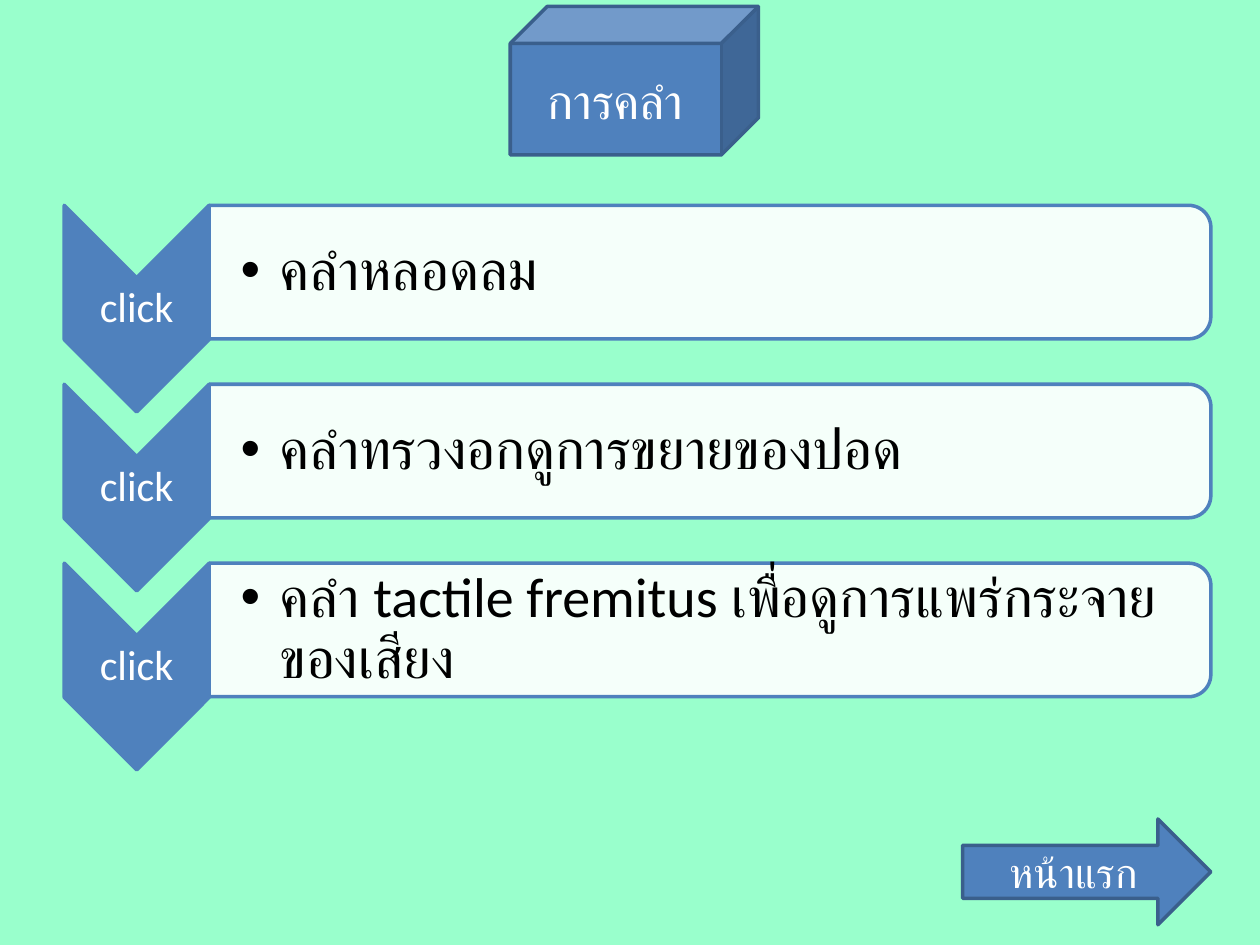
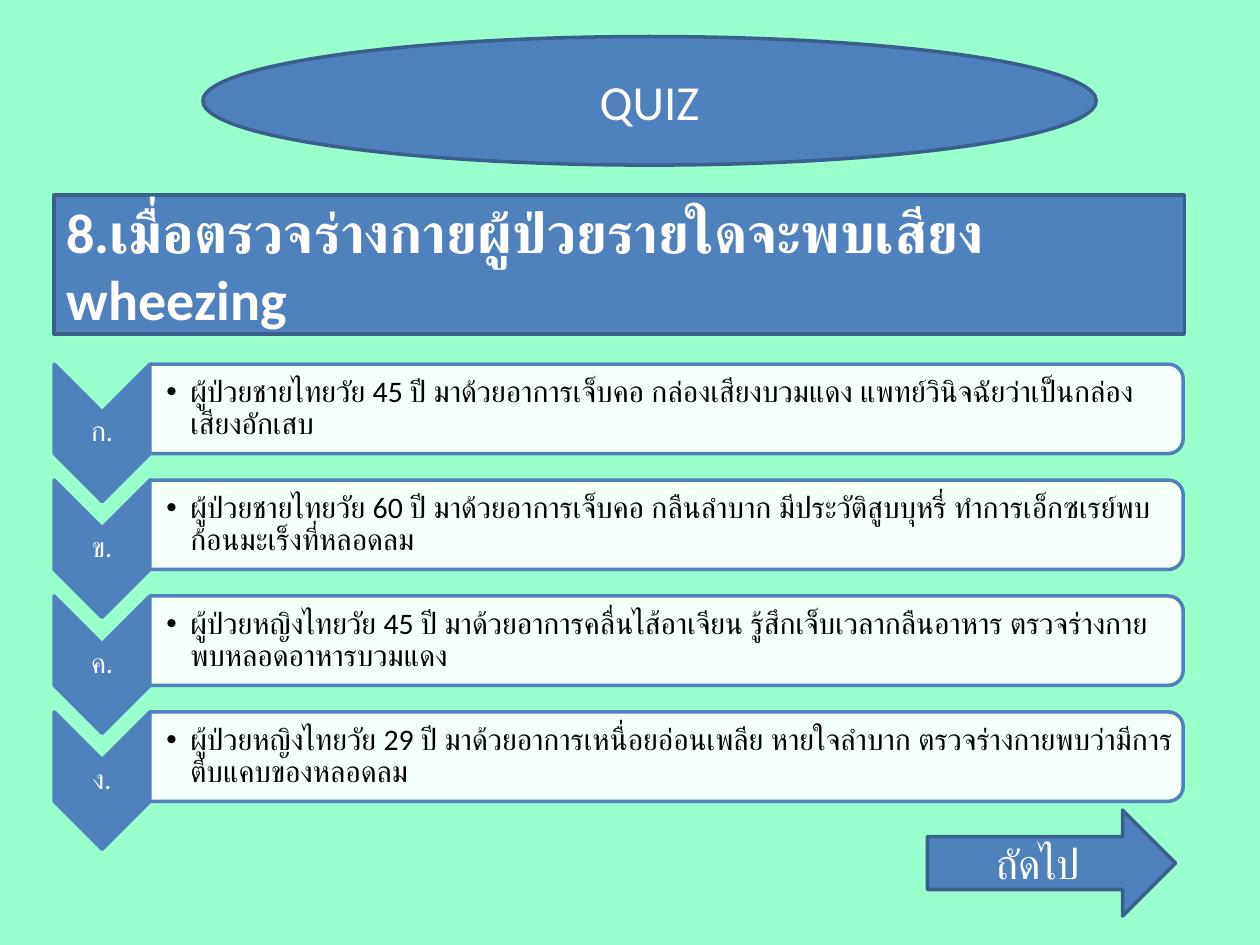
from dataclasses import dataclass

from lxml.etree import SubElement
from pptx import Presentation
from pptx.dml.color import RGBColor
from pptx.enum.shapes import MSO_SHAPE as SHAPE
from pptx.enum.text import MSO_ANCHOR as ANCHOR, MSO_AUTO_SIZE as AUTO_SIZE, PP_ALIGN as ALIGN
from pptx.oxml.ns import qn
from pptx.shapes.autoshape import Shape
from pptx.slide import Slide
from pptx.util import Inches, Pt

MINT = RGBColor(0x99, 0xFF, 0xCC)
BLUE = RGBColor(0x4F, 0x81, 0xBD)
DARK_BLUE = RGBColor(0x3A, 0x5F, 0x8C)
WHITE = RGBColor(0xFF, 0xFF, 0xFF)
BLACK = RGBColor(0x00, 0x00, 0x00)
FONT = "Calibri"
TITLE_ONLY = 5


@dataclass(frozen=True)
class Box:
    left: float
    top: float
    width: float
    height: float

    def lengths(self) -> tuple:
        return tuple(Inches(v) for v in (self.left, self.top, self.width, self.height))

    def turned(self) -> "Box":
        """Frame that covers this box once it is rotated by 90 degrees."""
        return Box(self.left + (self.width - self.height) / 2,
                   self.top + (self.height - self.width) / 2,
                   self.height, self.width)


@dataclass(frozen=True)
class Style:
    size: float
    color: RGBColor = WHITE
    bold: bool = False
    align: ALIGN = ALIGN.CENTER
    line_spacing: float = 1.0
    indent: float = 0


@dataclass(frozen=True)
class Item:
    label: str
    text: str


@dataclass(frozen=True)
class ChevronList:
    left: float
    top: float
    pitch: float
    chevron_width: float
    chevron_length: float
    bar_width: float
    bar_height: float
    label_size: float
    text_size: float
    inset: float
    bullet_inset: float
    bullet_indent: float
    items: tuple[Item, ...]


PALPATION = ChevronList(
    left=0.51, top=1.63, pitch=1.42, chevron_width=1.15, chevron_length=1.64,
    bar_width=7.95, bar_height=1.06, label_size=24, text_size=32,
    inset=0.02, bullet_inset=0.25, bullet_indent=0.31,
    items=(
        Item("click", "คลำหลอดลม"),
        Item("click", "คลำทรวงอกดูการขยายของปอด"),
        Item("click", "คลำ tactile fremitus เพื่อดูการแพร่กระจายของเสียง"),
    ))

ANSWERS = ChevronList(
    left=0.43, top=2.89, pitch=0.92, chevron_width=0.76, chevron_length=1.09,
    bar_width=8.2, bar_height=0.71, label_size=16, text_size=17,
    inset=0.01, bullet_inset=0.13, bullet_indent=0.19,
    items=(
        Item("ก.", "ผู้ป่วยชายไทยวัย 45 ปี มาด้วยอาการเจ็บคอ กล่องเสียงบวมแดง "
                   "แพทย์วินิจฉัยว่าเป็นกล่องเสียงอักเสบ"),
        Item("ข.", "ผู้ป่วยชายไทยวัย 60 ปี มาด้วยอาการเจ็บคอ กลืนลำบาก มีประวัติสูบบุหรี่ "
                   "ทำการเอ็กซเรย์พบก้อนมะเร็งที่หลอดลม"),
        Item("ค.", "ผู้ป่วยหญิงไทยวัย 45 ปี มาด้วยอาการคลื่นไส้อาเจียน รู้สึกเจ็บเวลากลืนอาหาร "
                   "ตรวจร่างกายพบหลอดอาหารบวมแดง"),
        Item("ง.", "ผู้ป่วยหญิงไทยวัย 29 ปี มาด้วยอาการเหนื่อยอ่อนเพลีย หายใจลำบาก "
                   "ตรวจร่างกายพบว่ามีการตีบแคบของหลอดลม"),
    ))


def write(sp: Shape, text: str, style: Style,
          insets: tuple = (0.1, 0.05, 0.1, 0.05)) -> None:
    tf = sp.text_frame
    tf.word_wrap = True
    tf.auto_size = AUTO_SIZE.NONE
    tf.vertical_anchor = ANCHOR.MIDDLE
    tf.margin_left, tf.margin_top, tf.margin_right, tf.margin_bottom = map(Inches, insets)
    p = tf.paragraphs[0]
    p.alignment = style.align
    p.line_spacing = style.line_spacing
    if style.indent:
        pPr = p._p.get_or_add_pPr()
        pPr.set("marL", str(Inches(style.indent)))
        pPr.set("indent", str(-Inches(style.indent)))
        SubElement(pPr, qn("a:buFont"), typeface="Arial")
        SubElement(pPr, qn("a:buChar"), char="•")
    r = p.add_run()
    r.text = text
    r.font.name = FONT
    r.font.size = Pt(style.size)
    r.font.bold = style.bold
    r.font.color.rgb = style.color


def add_block(s: Slide, kind: SHAPE, box: Box, fill: RGBColor = BLUE,
              line: RGBColor = DARK_BLUE) -> Shape:
    sp = s.shapes.add_shape(kind, *box.lengths())
    sp.shadow.inherit = False
    sp.fill.solid()
    sp.fill.fore_color.rgb = fill
    sp.line.color.rgb = line
    sp.line.width = Pt(2)
    return sp


def add_turned_block(s: Slide, kind: SHAPE, box: Box, fill: RGBColor) -> Shape:
    sp = add_block(s, kind, box.turned(), fill, BLUE)
    sp.rotation = 90
    return sp


def add_titled_slide(prs: Presentation, title: str, kind: SHAPE, emblem: Box,
                     title_box: Box) -> Slide:
    """Add a slide whose title stands on an emblem shape."""
    s = prs.slides.add_slide(prs.slide_layouts[TITLE_ONLY])
    add_block(s, kind, emblem)
    sp = s.shapes.title
    s.shapes._spTree.append(sp._element)  # bring the title in front of the emblem
    sp.left, sp.top, sp.width, sp.height = title_box.lengths()
    write(sp, title, Style(28))
    return s


def add_chevron_list(s: Slide, spec_list: ChevronList) -> None:
    c = spec_list
    label_style = Style(c.label_size, line_spacing=0.9)
    text_style = Style(c.text_size, BLACK, align=ALIGN.LEFT, line_spacing=0.9,
                       indent=c.bullet_indent)
    bar_left = c.left + c.chevron_width
    for i, item in enumerate(c.items):
        top = c.top + i * c.pitch
        add_turned_block(s, SHAPE.CHEVRON,
                         Box(c.left, top, c.chevron_width, c.chevron_length), BLUE)
        label = s.shapes.add_textbox(*Box(
            c.left, top + c.chevron_width / 2,
            c.chevron_width, c.chevron_length - c.chevron_width).lengths())
        write(label, item.label, label_style, (c.inset,) * 4)

        bar = add_turned_block(s, SHAPE.ROUND_2_SAME_RECTANGLE,
                               Box(bar_left, top, c.bar_width, c.bar_height), WHITE)
        color = bar._element.spPr.find(qn("a:solidFill")).find(qn("a:srgbClr"))
        SubElement(color, qn("a:alpha"), val="90000")
        body = s.shapes.add_textbox(*Box(
            bar_left, top + 0.05, c.bar_width - 0.05, c.bar_height - 0.1).lengths())
        write(body, item.text, text_style, (c.bullet_inset,) + (c.inset,) * 3)


def add_nav_arrow(s: Slide, text: str, left: float, top: float) -> None:
    arrow = add_block(s, SHAPE.RIGHT_ARROW, Box(left, top, 1.97, 0.84))
    write(arrow, text, Style(24))


def main() -> None:
    prs = Presentation()
    prs.slide_width, prs.slide_height = Inches(10), Inches(7.5)
    background = prs.slide_master.background.fill
    background.solid()
    background.fore_color.rgb = MINT

    s = add_titled_slide(prs, "การคลำ", SHAPE.CUBE, Box(4.05, 0.05, 1.97, 1.18),
                         title_box=Box(4.05, 0.35, 1.67, 0.88))
    add_chevron_list(s, PALPATION)
    add_nav_arrow(s, "หน้าแรก", 7.64, 6.5)

    oval = Box(1.61, 0.29, 7.09, 1.02)
    s = add_titled_slide(prs, "QUIZ", SHAPE.OVAL, oval, title_box=oval)
    add_nav_arrow(s, "ถัดไป", 7.36, 6.43)
    add_chevron_list(s, ANSWERS)
    question = add_block(s, SHAPE.RECTANGLE, Box(0.43, 1.55, 8.97, 1.1))
    write(question, "8.เมื่อตรวจร่างกายผู้ป่วยรายใดจะพบเสียง wheezing",
          Style(32, bold=True, align=ALIGN.LEFT))

    prs.save("out.pptx")


if __name__ == "__main__":
    main()
